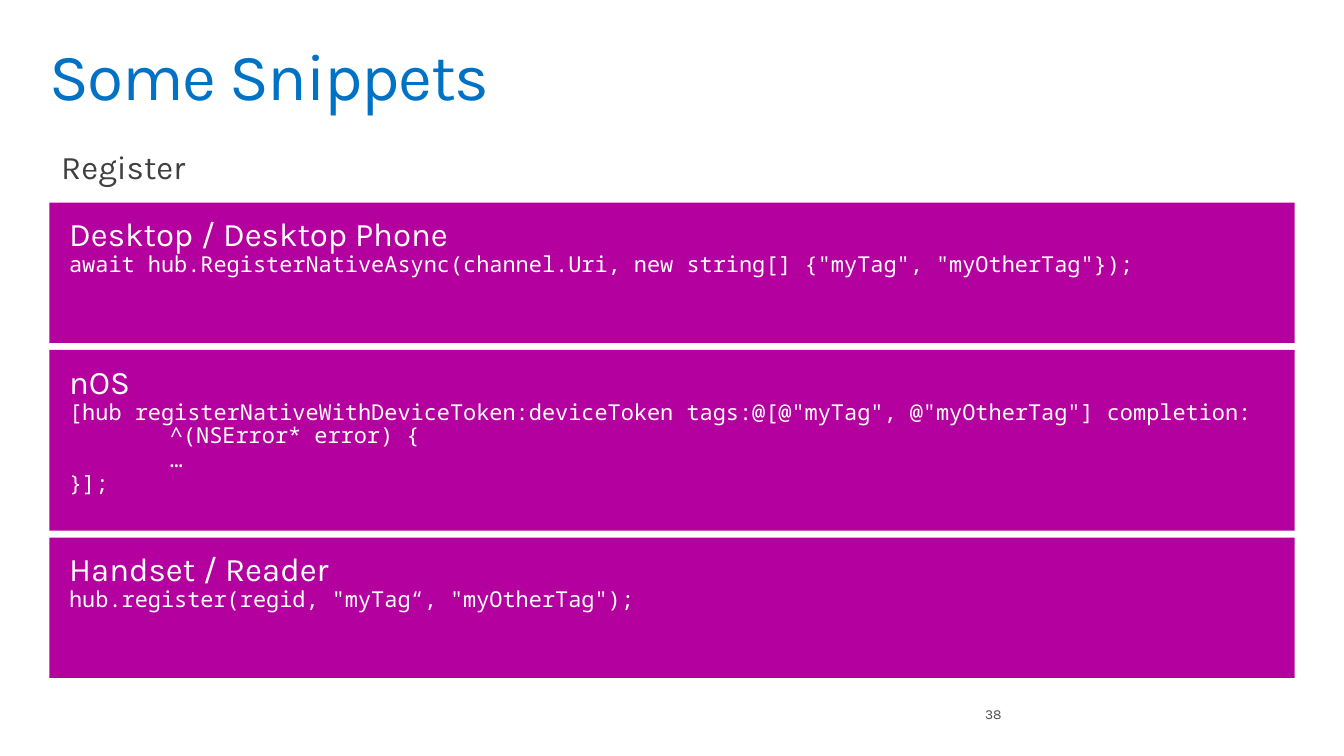
from dataclasses import dataclass

from lxml import etree
from pptx import Presentation
from pptx import util as u
from pptx.dml.color import RGBColor
from pptx.enum import shapes, text
from pptx.oxml import ns

BLUE = RGBColor(0x00, 0x72, 0xC6)
PURPLE = RGBColor(0xB4, 0x00, 0x9E)
WHITE = RGBColor(0xFF, 0xFF, 0xFF)
DARK_GRAY = RGBColor(0x40, 0x40, 0x40)
GRAY = RGBColor(0x50, 0x50, 0x50)

TEXT_FONT = "Karla"
CODE_FONT = "Noto Sans Mono"

PANEL_LEFT, PANEL_TOP, PANEL_WIDTH = 0.5, 2.05, 12.6
PANEL_GAP = 0.07
CODE_TAB = 1.02


@dataclass(frozen=True)
class Snippet:
    platform: str
    code: tuple[str, ...]
    height: float


SNIPPETS = (
    Snippet(
        "Desktop / Desktop Phone",
        ('await hub.RegisterNativeAsync(channel.Uri, new string[] {"myTag", "myOtherTag"});',),
        1.42,
    ),
    Snippet(
        "nOS",
        (
            '[hub registerNativeWithDeviceToken:deviceToken tags:@[@"myTag", @"myOtherTag"] completion:',
            "\t^(NSError* error) {",
            "\t…",
            "}];",
        ),
        1.83,
    ),
    Snippet("Handset / Reader", ('hub.register(regid, "myTag“, "myOtherTag");',), 1.42),
)


def place(shape, left: float, top: float, width: float, height: float) -> None:
    shape.left, shape.top = u.Inches(left), u.Inches(top)
    shape.width, shape.height = u.Inches(width), u.Inches(height)


def set_frame(frame, side: float, edge: float) -> None:
    """Wrap text from the top of the frame, with the given insets."""
    frame.word_wrap = True
    frame.auto_size = text.MSO_AUTO_SIZE.NONE
    frame.vertical_anchor = text.MSO_ANCHOR.TOP
    frame.margin_left = frame.margin_right = u.Inches(side)
    frame.margin_top = frame.margin_bottom = u.Inches(edge)


def format_paragraph(paragraph, size: float, color: RGBColor,
                     font_name: str = TEXT_FONT, line_spacing: float = 0.9) -> None:
    paragraph.alignment = text.PP_ALIGN.LEFT
    paragraph.line_spacing = line_spacing
    paragraph.space_before = u.Pt(0)
    for run in paragraph.runs:
        run.font.name = font_name
        run.font.size = u.Pt(size)
        run.font.color.rgb = color


def remove_bullet(paragraph) -> None:
    properties = paragraph._p.get_or_add_pPr()
    properties.set("marL", "0")
    properties.set("indent", "0")
    etree.SubElement(properties, ns.qn("a:buNone"))


def add_tab_stop(paragraph, position: float) -> None:
    tabs = etree.SubElement(paragraph._p.get_or_add_pPr(), ns.qn("a:tabLst"))
    etree.SubElement(tabs, ns.qn("a:tab"), pos=str(u.Inches(position)), algn="l")


def add_headings(slide) -> None:
    title = slide.shapes.title
    place(title, 0.34, 0.34, 12.58, 0.76)
    set_frame(title.text_frame, 0.16, 0.1)
    title.text_frame.text = "Some Snippets"
    paragraph = title.text_frame.paragraphs[0]
    format_paragraph(paragraph, 48, BLUE)
    paragraph.runs[0]._r.get_or_add_rPr().set("spc", "-100")

    body = slide.placeholders[1]
    place(body, 0.46, 1.3, 12.71, 0.7)
    set_frame(body.text_frame, 0.16, 0.1)
    body.text_frame.text = "Register"
    paragraph = body.text_frame.paragraphs[0]
    remove_bullet(paragraph)
    format_paragraph(paragraph, 24, DARK_GRAY, line_spacing=1.2)
    paragraph.space_after = u.Pt(3.1)


def add_snippet_panel(slide, snippet: Snippet, top: float) -> None:
    panel = slide.shapes.add_shape(
        shapes.MSO_SHAPE.RECTANGLE, u.Inches(PANEL_LEFT), u.Inches(top),
        u.Inches(PANEL_WIDTH), u.Inches(snippet.height))
    panel.shadow.inherit = False
    panel.fill.solid()
    panel.fill.fore_color.rgb = PURPLE
    panel.line.fill.background()
    frame = panel.text_frame
    set_frame(frame, 0.2, 0.16)
    frame.text = "\n".join((snippet.platform, *snippet.code))
    heading, *code_lines = frame.paragraphs
    format_paragraph(heading, 24, WHITE)
    for paragraph in code_lines:
        if paragraph.text.startswith("\t"):
            add_tab_stop(paragraph, CODE_TAB)
        format_paragraph(paragraph, 16, WHITE, CODE_FONT)


def add_page_number(slide, number: int) -> None:
    box = slide.shapes.add_textbox(
        u.Inches(9.87), u.Inches(7.09), u.Inches(3.06), u.Inches(0.41))
    set_frame(box.text_frame, 0.1, 0.05)
    box.text_frame.text = str(number)
    format_paragraph(box.text_frame.paragraphs[0], 10, GRAY, line_spacing=1.0)


def main() -> None:
    presentation = Presentation()
    presentation.slide_width = u.Inches(13.6)
    presentation.slide_height = u.Inches(7.65)
    slide = presentation.slides.add_slide(presentation.slide_layouts[1])
    add_headings(slide)
    top = PANEL_TOP
    for snippet in SNIPPETS:
        add_snippet_panel(slide, snippet, top)
        top += snippet.height + PANEL_GAP
    add_page_number(slide, 38)
    presentation.save("out.pptx")


if __name__ == "__main__":
    main()
